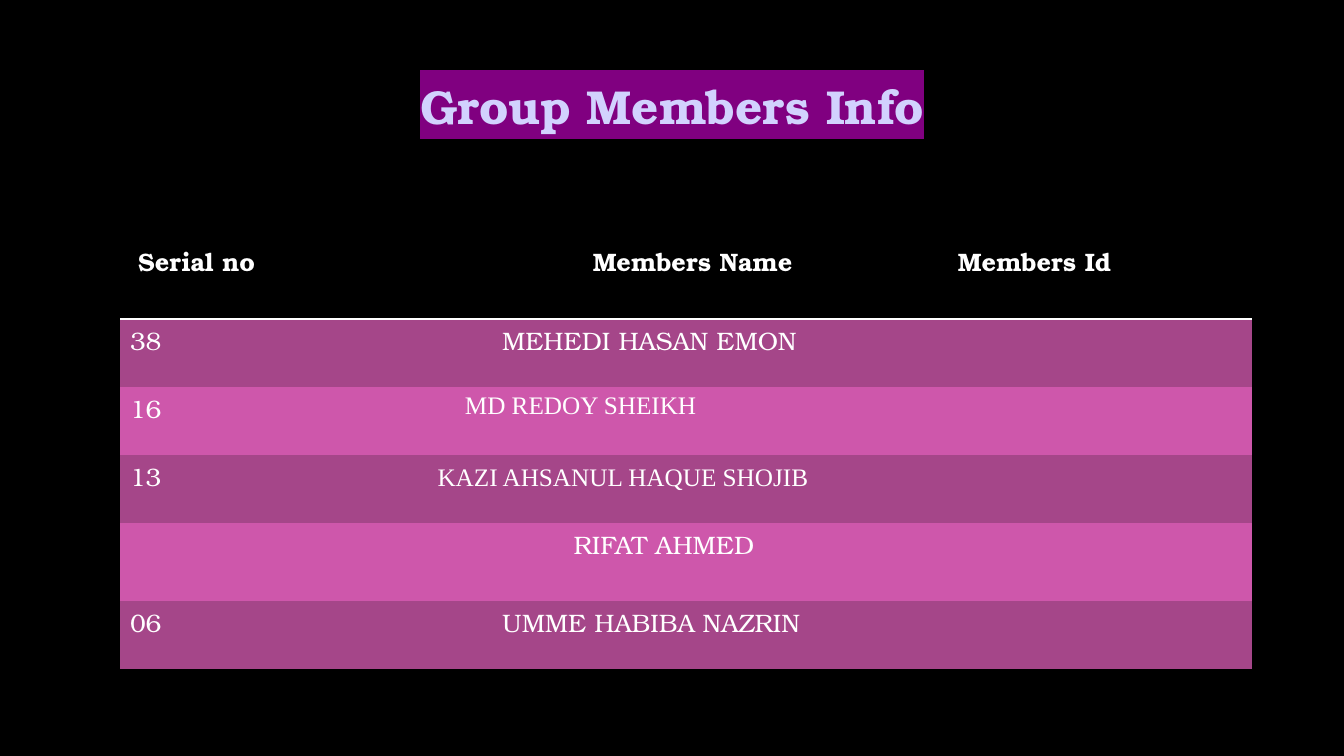
from dataclasses import dataclass

from lxml import etree
from pptx import Presentation
from pptx.dml.color import RGBColor
from pptx.enum.text import MSO_ANCHOR, PP_ALIGN
from pptx.oxml.ns import qn
from pptx.util import Inches, Pt

CENTER = PP_ALIGN.CENTER
MIDDLE = MSO_ANCHOR.MIDDLE
PLAIN_TABLE = "{2D5ABB26-0587-4C30-8999-92F81FD0307C}"


@dataclass(frozen=True)
class Theme:
    """Colours, fonts and sizes of the slide."""

    background: str = "000000"
    title: str = "D2D2FE"
    title_edge: str = "8E8EFD"
    title_mark: str = "800080"
    text: str = "FFFFFF"
    bands: tuple = ("A54689", "CE57AB")
    serif: str = "TeX Gyre Bonum"
    roman: str = "Times New Roman"
    title_size: float = 34
    title_edge_width: float = 1.75
    body_size: float = 18
    rule_width: float = 2


def set_values(target, values):
    """Set each named format value on the target."""
    for name, value in values.items():
        setattr(target, name, value)


def color_element(tag, color):
    """Return an element of the given tag that holds an RGB colour."""
    element = etree.Element(qn(tag))
    etree.SubElement(element, qn("a:srgbClr"), val=color)
    return element


def line_element(tag, width, color):
    """Return a solid line element."""
    line = etree.Element(qn(tag), w=str(Pt(width)))
    line.append(color_element("a:solidFill", color))
    return line


class MembersSlide:
    """Draws on one slide, with lengths in percent of its size."""

    def __init__(self, deck, theme):
        """Add a blank slide with the theme's background."""
        self.theme = theme
        self.width, self.height = deck.slide_width, deck.slide_height
        self.slide = deck.slides.add_slide(deck.slide_layouts[6])
        fill = self.slide.background.fill
        fill.solid()
        fill.fore_color.rgb = RGBColor.from_string(theme.background)

    def across(self, percent):
        """Return a share of the slide's width."""
        return round(self.width * percent / 100)

    def down(self, percent):
        """Return a share of the slide's height."""
        return round(self.height * percent / 100)

    def add_text(self, paragraph, text, color, **font_values):
        """Add a formatted run to a paragraph."""
        run = paragraph.add_run()
        run.text = text
        set_values(run.font, font_values)
        run.font.color.rgb = RGBColor.from_string(color)
        return run

    def title(self, text, left, top, width, height):
        """Add the centred, highlighted heading."""
        theme = self.theme
        heading = self.slide.shapes.add_textbox(
            self.across(left), self.down(top), self.across(width), self.down(height))
        set_values(heading.text_frame, {"word_wrap": True, "vertical_anchor": MIDDLE})
        paragraph = heading.text_frame.paragraphs[0]
        set_values(paragraph, {"alignment": CENTER, "line_spacing": 0.9})
        run = self.add_text(paragraph, text, theme.title, name=theme.serif,
                            size=Pt(theme.title_size), bold=True)
        style = run._r.get_or_add_rPr()
        style.find(qn("a:solidFill")).addnext(color_element("a:highlight", theme.title_mark))
        style.insert(0, line_element("a:ln", theme.title_edge_width, theme.title_edge))

    def cell(self, cell, fill, text, indent=0, lead=0, font=None, bold=False):
        """Fill a table cell and set its indented text."""
        cell.fill.solid()
        cell.fill.fore_color.rgb = RGBColor.from_string(fill)
        set_values(cell, {
            "margin_left": Inches(0.1) + self.across(indent),
            "margin_top": Inches(0.05) + self.down(lead),
        })
        paragraph = cell.text_frame.paragraphs[0]
        paragraph.font.size = Pt(self.theme.body_size)
        if text:
            self.add_text(paragraph, text, self.theme.text, name=font or self.theme.serif,
                          size=Pt(self.theme.body_size), bold=bold)

    def table(self, left, top, columns, rows, headers, members):
        """Add the members table with a ruled header and banded rows."""
        theme = self.theme
        table = self.slide.shapes.add_table(
            len(rows), len(columns), self.across(left), self.down(top),
            self.across(sum(columns)), self.down(sum(rows))).table
        set_values(table, {"first_row": False, "horz_banding": False})
        table._tbl.tblPr.find(qn("a:tableStyleId")).text = PLAIN_TABLE
        for column, share in zip(table.columns, columns):
            column.width = self.across(share)
        for row, share in zip(table.rows, rows):
            row.height = self.down(share)
        for index, (text, indent) in enumerate(headers):
            header = table.cell(0, index)
            self.cell(header, theme.background, text, indent, lead=5.33, bold=True)
            header._tc.get_or_add_tcPr().insert(
                0, line_element("a:lnB", theme.rule_width, theme.text))
        for index, (serial, name, name_format) in enumerate(members):
            band = theme.bands[index % len(theme.bands)]
            serial_cell, name_cell, id_cell = table.rows[index + 1].cells
            self.cell(serial_cell, band, serial)
            self.cell(name_cell, band, name, **name_format)
            self.cell(id_cell, band, "")


def main():
    """Build and save the group members slide."""
    deck = Presentation()
    set_values(deck, {"slide_width": Inches(13.33), "slide_height": Inches(7.5)})
    theme = Theme()
    page = MembersSlide(deck, theme)
    page.title("Group Members Info", 6.9, 4.8, 86.27, 19.33)
    page.table(
        left=8.93, top=26.13,
        columns=(10.88, 45.09, 28.28),
        rows=(16.07, 9, 9, 9, 10.3, 9),
        headers=(("Serial no", 0.6), ("Members Name", 23.55), ("Members Id", 5.63)),
        members=(
            ("38", "MEHEDI HASAN EMON", {"indent": 16.8}),
            ("16", "MD REDOY SHEIKH", {"indent": 14.03, "font": theme.roman}),
            ("13", "KAZI AHSANUL HAQUE SHOJIB",
             {"indent": 12, "lead": 0.5, "font": theme.roman}),
            ("", "RIFAT AHMED", {"indent": 22.13}),
            ("06", "UMME HABIBA NAZRIN", {"indent": 16.8}),
        ))
    deck.save("out.pptx")


if __name__ == "__main__":
    main()
